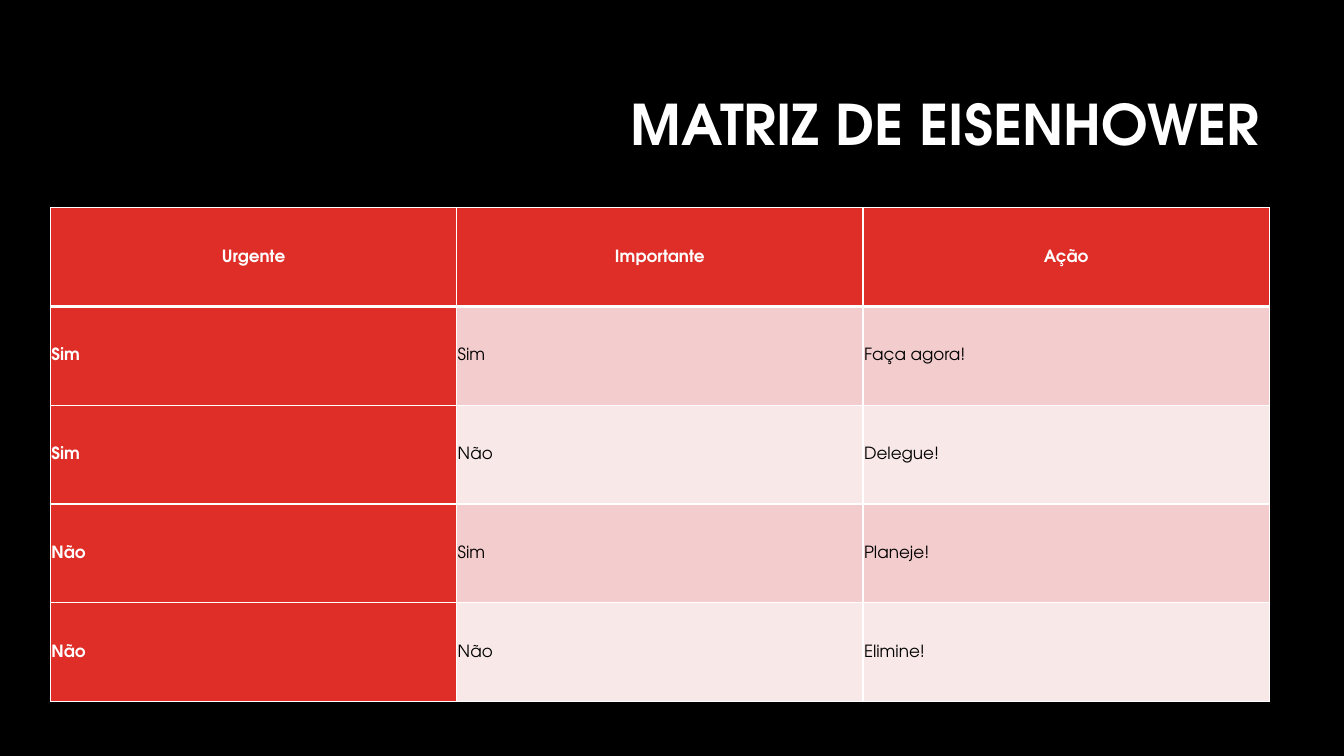
from lxml import etree
from pptx import Presentation
from pptx.dml.color import RGBColor
from pptx.enum.text import MSO_ANCHOR, PP_ALIGN
from pptx.oxml.ns import qn
from pptx.util import Inches, Pt

MIDDLE = MSO_ANCHOR.MIDDLE
LEFT, CENTER, RIGHT = PP_ALIGN.LEFT, PP_ALIGN.CENTER, PP_ALIGN.RIGHT

# Content
TITLE = "MATRIZ DE EISENHOWER"
MATRIX = [
    ("Urgente", "Importante", "Ação"),
    ("Sim", "Sim", "Faça agora!"),
    ("Sim", "Não", "Delegue!"),
    ("Não", "Sim", "Planeje!"),
    ("Não", "Não", "Elimine!"),
]

# Style
FONT = "TeX Gyre Adventor"
COLORS = {"black": "000000", "white": "FFFFFF", "red": "DF2E28",
          "rose": "F3CDCD", "blush": "F9E8E8"}
SLIDE_W, SLIDE_H = 13.33, 7.5
TITLE_BOX = (3.17, 0.84, 9.42, 0.84)
TABLE_LEFT, TABLE_TOP = 0.5, 2.06
COLUMN_W, ROW_H = 4.03, 0.98
CELL_INSET = Inches(0.01)
GRID_LINE, HEADER_LINE = 1, 3


def rgb(name):
    return RGBColor.from_string(COLORS[name])


def write(frame, text, size, color, bold, align, spacing):
    frame.text = text
    paragraph = frame.paragraphs[0]
    paragraph.alignment = align
    paragraph.line_spacing = spacing
    font = paragraph.runs[0].font
    font.name, font.size, font.bold = FONT, Pt(size), bold
    font.color.rgb = rgb(color)


def add_border(cell, side, width):
    line = etree.SubElement(cell._tc.get_or_add_tcPr(), qn(f"a:ln{side}"),
                            w=str(Pt(width)))
    fill = etree.SubElement(line, qn("a:solidFill"))
    etree.SubElement(fill, qn("a:srgbClr"), val=COLORS["white"])


def main():
    prs = Presentation()
    prs.slide_width, prs.slide_height = Inches(SLIDE_W), Inches(SLIDE_H)
    slide = prs.slides.add_slide(prs.slide_layouts[6])
    slide.background.fill.solid()
    slide.background.fill.fore_color.rgb = rgb("black")

    # Title
    title = slide.shapes.add_textbox(*map(Inches, TITLE_BOX)).text_frame
    title.word_wrap = True
    title.vertical_anchor = MIDDLE
    write(title, TITLE, 40, "white", True, RIGHT, 0.9)

    # Matrix
    row_count, column_count = len(MATRIX), len(MATRIX[0])
    table = slide.shapes.add_table(
        row_count, column_count, Inches(TABLE_LEFT), Inches(TABLE_TOP),
        Inches(column_count * COLUMN_W), Inches(row_count * ROW_H)).table
    for r, entries in enumerate(MATRIX):
        for c, entry in enumerate(entries):
            cell = table.cell(r, c)
            heading = r == 0 or c == 0
            cell.vertical_anchor = MIDDLE
            cell.margin_left = cell.margin_right = CELL_INSET
            cell.margin_top = cell.margin_bottom = CELL_INSET
            write(cell.text_frame, entry, 12, "white" if heading else "black",
                  heading, CENTER if r == 0 else LEFT, 1.07)

            # Borders precede the fill in the cell properties
            add_border(cell, "L", GRID_LINE)
            add_border(cell, "R", GRID_LINE)
            add_border(cell, "T", HEADER_LINE if r == 1 else GRID_LINE)
            add_border(cell, "B", HEADER_LINE if r == 0 else GRID_LINE)
            band = "rose" if r % 2 else "blush"
            cell.fill.solid()
            cell.fill.fore_color.rgb = rgb("red" if heading else band)

    prs.save("out.pptx")


if __name__ == "__main__":
    main()
